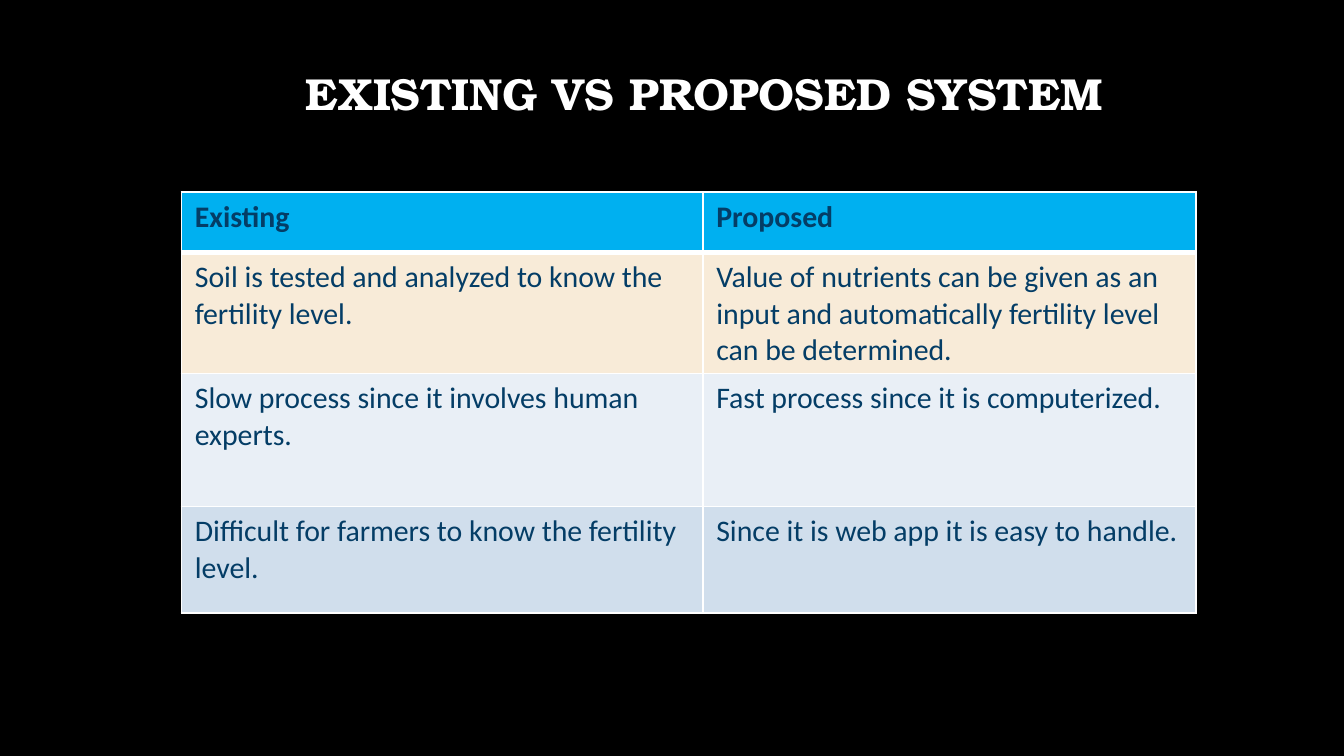
from lxml import etree
from pptx import Presentation
from pptx import util as u
from pptx.dml.color import RGBColor
from pptx.enum import text
from pptx.oxml.ns import qn

BLACK = RGBColor(0x00, 0x00, 0x00)
WHITE = RGBColor(0xFF, 0xFF, 0xFF)
NAVY = RGBColor(0x04, 0x3D, 0x66)
SKY = RGBColor(0x00, 0xB0, 0xF0)
CREAM = RGBColor(0xF8, 0xEB, 0xD8)
PALE = RGBColor(0xE9, 0xEF, 0xF6)
MIST = RGBColor(0xD0, 0xDE, 0xEC)

# Fill, row height in grid rows, existing system, proposed system
ROWS = [
    (SKY, 4.5, "Existing", "Proposed"),
    (CREAM, 8.8, "Soil is tested and analyzed to know the fertility level.",
     "Value of nutrients can be given as an input and automatically "
     "fertility level can be determined."),
    (PALE, 9.9, "Slow process since it involves human experts.",
     "Fast process since it is computerized."),
    (MIST, 7.9, "Difficult for farmers to know the fertility level.",
     "Since it is web app it is easy to handle."),
]


class Deck:
    head = "TeX Gyre Bonum"
    body = "Calibri"

    def __init__(self, wide, high):
        self.prs = Presentation()
        self.prs.slide_width = u.Inches(wide)
        self.prs.slide_height = u.Inches(high)
        self.slide = self.prs.slides.add_slide(self.prs.slide_layouts[6])
        fill = self.slide.background.fill
        fill.solid()
        fill.fore_color.rgb = BLACK

    def at(self, *steps):
        """Turn steps of a tenth-inch grid into lengths."""
        return [u.Inches(step / 10) for step in steps]

    def run(self, para, words, size, font, color, bold):
        run = para.add_run()
        run.text = words
        run.font.size = u.Pt(size)
        run.font.name = font
        run.font.color.rgb = color
        run.font.bold = bold

    def title(self, box, runs):
        frame = self.slide.shapes.add_textbox(*self.at(*box)).text_frame
        frame.word_wrap = True
        frame.vertical_anchor = text.MSO_ANCHOR.TOP
        frame.margin_left = frame.margin_right = u.Inches(0.1)
        frame.margin_top = frame.margin_bottom = u.Inches(0.1)
        para = frame.paragraphs[0]
        para.alignment = text.PP_ALIGN.CENTER
        para.line_spacing = 1.15
        para.space_after = u.Pt(16)
        for words, size in runs:
            self.run(para, words, size, self.head, WHITE, True)

    def edge(self, side, width):
        line = etree.Element(qn("a:" + side), w=str(u.Pt(width)))
        fill = etree.SubElement(line, qn("a:solidFill"))
        etree.SubElement(fill, qn("a:srgbClr"), val=str(WHITE))
        return line

    def cell(self, cell, words, fill, bold, top, base):
        self.run(cell.text_frame.paragraphs[0], words, 16, self.body,
                 NAVY, bold)
        cell.fill.solid()
        cell.fill.fore_color.rgb = fill
        # Borders come before the fill, in schema order
        props = cell._tc.get_or_add_tcPr()
        sides = (("lnL", 1), ("lnR", 1), ("lnT", top), ("lnB", base))
        for spot, (side, width) in enumerate(sides):
            props.insert(spot, self.edge(side, width))

    def table(self, box, cols, rows):
        grid = self.slide.shapes.add_table(
            len(rows), len(cols), *self.at(*box)).table
        for col, width in zip(grid.columns, self.at(*cols)):
            col.width = width
        for i, (fill, height, *cells) in enumerate(rows):
            grid.rows[i].height = self.at(height)[0]
            for j, words in enumerate(cells):
                self.cell(grid.cell(i, j), words, fill, bold=i == 0,
                          top=3 if i == 1 else 1, base=3 if i == 0 else 1)


def main():
    deck = Deck(10, 10 * 9 / 16)
    # Heading
    deck.title((7.7, 2.3, 89.1, 8.8),
               [(" ", 30), ("EXISTING VS PROPOSED SYSTEM ", 24)])
    # Comparison of the two systems
    deck.table((13.5, 14.3, 75.5, 31.3), (38.8, 36.7), ROWS)
    deck.prs.save("out.pptx")


if __name__ == "__main__":
    main()
